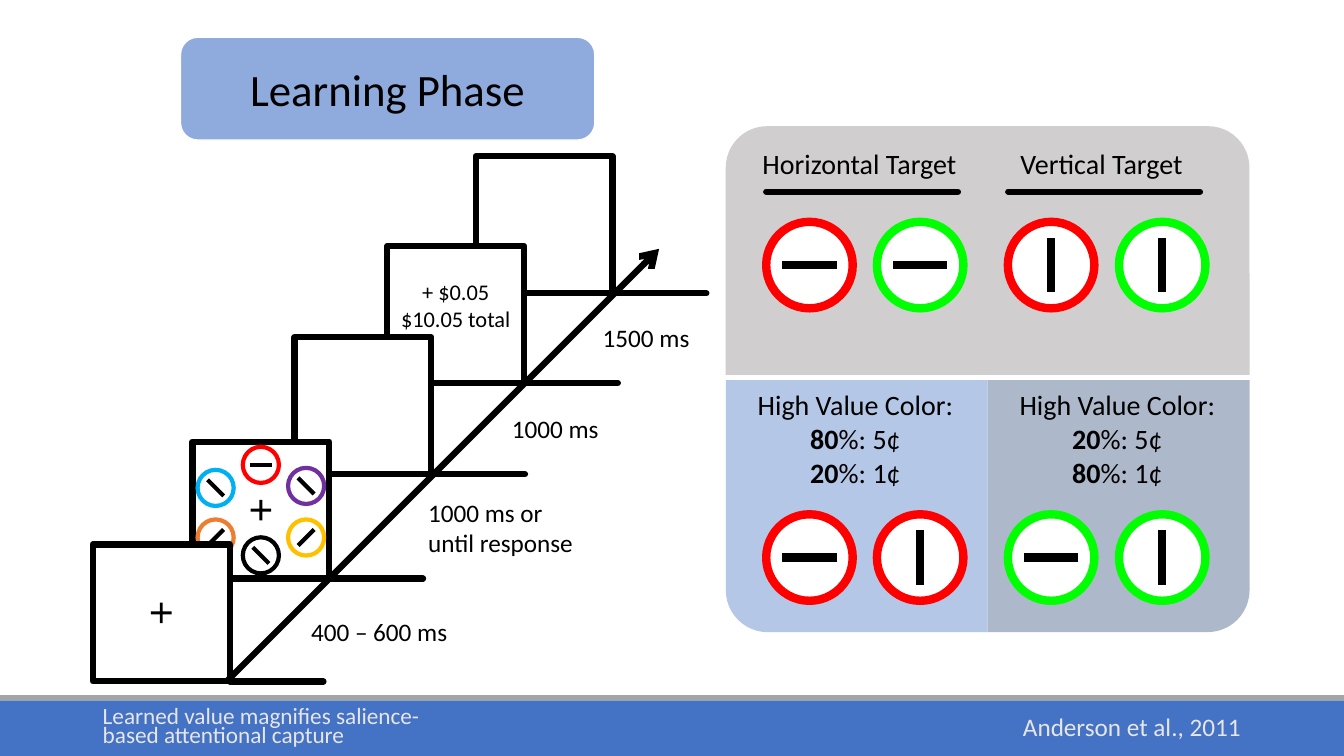
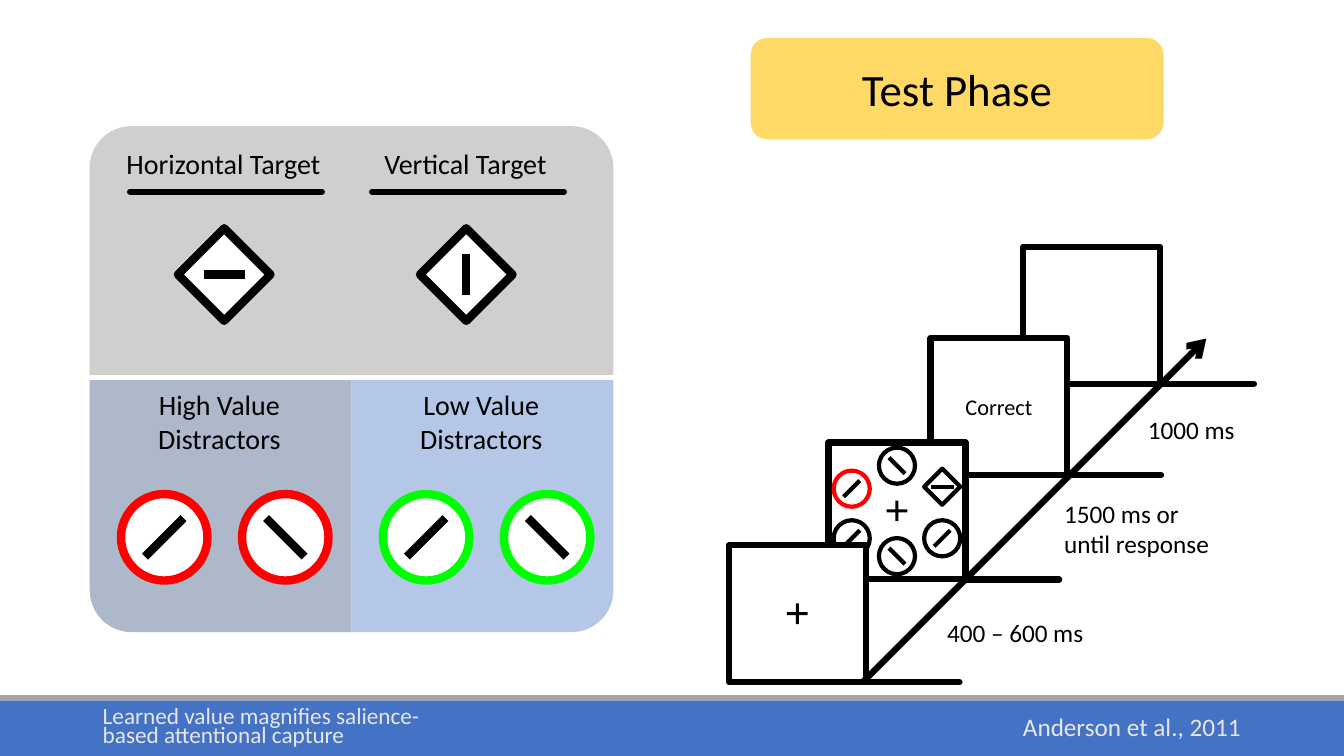
import math

import lxml.etree
import pptx
import pptx.dml.color
import pptx.enum.shapes
import pptx.enum.text
import pptx.oxml.ns
import pptx.util

Cm = pptx.util.Cm
Pt = pptx.util.Pt
RGBColor = pptx.dml.color.RGBColor
SHAPE = pptx.enum.shapes.MSO_SHAPE
ALIGN = pptx.enum.text.PP_ALIGN
ANCHOR = pptx.enum.text.MSO_ANCHOR

BLACK = RGBColor(0x00, 0x00, 0x00)
WHITE = RGBColor(0xFF, 0xFF, 0xFF)
RED = RGBColor(0xFF, 0x00, 0x00)
GREEN = RGBColor(0x00, 0xFF, 0x00)
SKY = RGBColor(0x00, 0xB0, 0xF0)
PURPLE = RGBColor(0x70, 0x30, 0xA0)
ORANGE = RGBColor(0xED, 0x7D, 0x31)
AMBER = RGBColor(0xFF, 0xC0, 0x00)
BAND_BLUE = RGBColor(0x44, 0x72, 0xC4)
BAND_GREY = RGBColor(0xA5, 0xA5, 0xA5)
FOOTER_TEXT = RGBColor(0xE7, 0xE6, 0xE6)
TITLE_BLUE = RGBColor(0x8F, 0xAA, 0xDC)
TITLE_YELLOW = RGBColor(0xFF, 0xD9, 0x66)
PANEL_GREY = RGBColor(0xD0, 0xCE, 0xCE)
PANEL_BLUE = RGBColor(0xB4, 0xC7, 0xE7)
PANEL_SLATE = RGBColor(0xAD, 0xB9, 0xCA)

FONT = "Calibri"
PAGE_WIDTH, PAGE_HEIGHT = 33.87, 19.05
HALF_WIDTH = 6.6
SCREEN = 3.45
TICK = 2.36
LARGE, SQUARE, SMALL = 2.18, 1.65, 0.91
BAR_SHARE = 0.63
FALLING, RISING = 45, -45

# Offsets of each screen from the first one
STEPS = [(0, 0), (2.51, -2.59), (5.08, -5.22), (7.42, -7.52), (9.65, -9.78)]
# Offsets of each duration from its screen's lower right corner, and its width
DURATION_SPOTS = [(1.8, -1.77, 4), (2.24, -2.17, 4.45),
                  (1.78, -1.66, 2.8), (1.73, -1.65, 3)]
# Search items, clockwise from the top, around the centre of the screen
RING = [(0, -1.14), (1.14, -0.61), (1.14, 0.69),
        (0, 1.14), (-1.14, 0.69), (-1.14, -0.56)]


def write(shape, lines, size, color=BLACK, align=ALIGN.CENTER,
          anchor=ANCHOR.TOP, spacing=None):
    """Write lines into a shape; a (bold, plain) pair makes a mixed line."""
    frame = shape.text_frame
    frame.word_wrap = True
    frame.vertical_anchor = anchor
    for index, line in enumerate(lines):
        para = frame.paragraphs[0] if index == 0 else frame.add_paragraph()
        para.alignment = align
        para.line_spacing = spacing
        para.font.name = FONT
        para.font.size = Pt(size)
        para.font.color.rgb = color
        if isinstance(line, str):
            para.add_run().text = line
        else:
            for text, bold in zip(line, (True, False)):
                span = para.add_run()
                span.text = text
                span.font.bold = bold


def add_text(page, x, y, width, height, lines, size, **style):
    """Add a text box."""
    box = page.shapes.add_textbox(Cm(x), Cm(y), Cm(width), Cm(height))
    write(box, lines, size, **style)


def add_block(page, kind, x, y, width, height, fill, line=None, weight=1,
              turn=0):
    """Add a filled preset shape, with an outline if a line colour is given."""
    block = page.shapes.add_shape(kind, Cm(x), Cm(y), Cm(width), Cm(height))
    block.shadow.inherit = False
    block.rotation = turn
    block.fill.solid()
    block.fill.fore_color.rgb = fill
    if line is None:
        block.line.fill.background()
    else:
        block.line.color.rgb = line
        block.line.width = Pt(weight)
    return block


def add_line(page, x1, y1, x2, y2, weight=4.5, rounded=False, arrow=False):
    """Add a black line, with round ends or an arrowhead if asked."""
    line = page.shapes.add_connector(
        pptx.enum.shapes.MSO_CONNECTOR.STRAIGHT,
        Cm(x1), Cm(y1), Cm(x2), Cm(y2))
    line.line.color.rgb = BLACK
    line.line.width = Pt(weight)
    properties = line.element.spPr
    outline = properties.find(pptx.oxml.ns.qn("a:ln"))
    if rounded:
        outline.set("cap", "rnd")
    if arrow:
        lxml.etree.SubElement(outline, pptx.oxml.ns.qn("a:tailEnd"),
                              type="arrow")
    lxml.etree.SubElement(properties, pptx.oxml.ns.qn("a:effectLst"))


def add_item(page, x, y, color, angle, size=LARGE, kind=SHAPE.OVAL):
    """Add an outlined item centred on a point, with a bar at an angle."""
    weight = 3 if size == SMALL else 6
    turn = 45 if kind == SHAPE.RECTANGLE else 0
    add_block(page, kind, x - size / 2, y - size / 2, size, size, WHITE,
              color, weight, turn)
    reach = size * BAR_SHARE / 2
    dx = reach * math.cos(math.radians(angle))
    dy = reach * math.sin(math.radians(angle))
    add_line(page, x - dx, y - dy, x + dx, y + dy, weight)


def add_cross(page, x, y):
    """Add a fixation cross centred on a point."""
    size = 0.71
    cross = add_block(page, SHAPE.MATH_PLUS, x - size / 2, y - size / 2,
                      size, size, BLACK)
    cross.adjustments[0] = 0.103


def add_footer(page):
    """Add the bands and the citation at the foot of the page."""
    top, height = 17.65, 1.4
    add_block(page, SHAPE.RECTANGLE, 0, top, PAGE_WIDTH, height, BAND_BLUE)
    add_block(page, SHAPE.RECTANGLE, 0, top - 0.13, PAGE_WIDTH, 0.13,
              BAND_GREY)
    style = {"color": FOOTER_TEXT, "anchor": ANCHOR.MIDDLE}
    add_text(page, 22.43, top, 9.09, height, ["Anderson et al., 2011"], 18,
             align=ALIGN.RIGHT, spacing=0.9, **style)
    add_text(page, 2.34, top, 9.09, height,
             ["Learned value magnifies salience-based attentional capture"],
             16.6, align=ALIGN.LEFT, spacing=0.7, **style)


def add_title(page, x, text, fill):
    """Add the rounded title plate."""
    plate = add_block(page, SHAPE.ROUNDED_RECTANGLE, x, 0.94, 10.44, 2.59,
                      fill, WHITE)
    write(plate, [text], 32, anchor=ANCHOR.MIDDLE)


def add_panel(page, left, fills, captions):
    """Add the target panel with its two captioned lower halves."""
    top, lower, height = 3.18, 9.58, 6.35
    add_block(page, SHAPE.ROUND_2_SAME_RECTANGLE, left, top, 2 * HALF_WIDTH,
              6.27, PANEL_GREY)
    add_block(page, SHAPE.ROUND_1_RECTANGLE, left, lower, HALF_WIDTH, height,
              fills[0], turn=180)
    # A quarter turn swaps the sides, so the shape is set about its centre
    shift = (HALF_WIDTH - height) / 2
    add_block(page, SHAPE.ROUND_1_RECTANGLE, left + HALF_WIDTH + shift,
              lower - shift, height, HALF_WIDTH, fills[1], turn=90)
    headings = ("Horizontal Target", "Vertical Target")
    for column, heading in enumerate(headings):
        start = left + 1.02 + 6.1 * column
        add_text(page, start - 0.4, 3.56, 5.5, 1.12, [heading], 20)
        add_line(page, start, 4.83, start + 4.83, 4.83, rounded=True)
        add_text(page, left + 0.02 + HALF_WIDTH * column, 9.65, 6.5, 2.8,
                 captions[column], 20)


def add_timeline(page, left, top, count, durations, ring, message):
    """Add the staircase of screens with its arrow and durations."""
    spots = [(left + dx, top + dy) for dx, dy in STEPS[:count]]
    message_step, message_top, message_lines = message
    for step, (x, y) in reversed(list(enumerate(spots))):
        screen = add_block(page, SHAPE.RECTANGLE, x, y, SCREEN, SCREEN, WHITE,
                           BLACK, 4.5)
        middle_x, middle_y = x + SCREEN / 2, y + SCREEN / 2
        if step == message_step:
            write(screen, message_lines, 16)
            screen.text_frame.margin_top = Cm(message_top)
        if step == 1:
            for (dx, dy), (color, angle, kind) in zip(RING, ring):
                add_item(page, middle_x + dx, middle_y + dy, color, angle,
                         SMALL, kind)
        if step < 2:
            add_cross(page, middle_x, middle_y)

    corners = [(x + SCREEN, y + SCREEN) for x, y in spots]
    for x, y in corners:
        add_line(page, x, y, x + TICK, y, rounded=True)
    x, y = corners[0]
    run = 10.9 if count == len(STEPS) else 8.66
    add_line(page, x - 0.08, y, x - 0.08 + run, y - run, arrow=True)
    for (x, y), (dx, dy, width), text in zip(corners, DURATION_SPOTS,
                                             durations):
        add_text(page, x + dx, y + dy, width, 1.02, [text], 18,
                 align=ALIGN.LEFT)


def add_learning_page(page):
    """Build the learning phase."""
    left = 18.29
    add_footer(page)
    add_title(page, 4.55, "Learning Phase", TITLE_BLUE)
    add_timeline(
        page, 2.34, 13.72, 5,
        ["400 – 600 ms", "1000 ms or until response", "1000 ms", "1500 ms"],
        [(RED, 0, SHAPE.OVAL), (PURPLE, FALLING, SHAPE.OVAL),
         (AMBER, RISING, SHAPE.OVAL), (BLACK, FALLING, SHAPE.OVAL),
         (ORANGE, RISING, SHAPE.OVAL), (SKY, FALLING, SHAPE.OVAL)],
        (3, 0.81, ["+ $0.05", "$10.05 total"]))
    odds = [("80", "20"), ("20", "80")]
    add_panel(page, left, (PANEL_BLUE, PANEL_SLATE),
              [["High Value Color:", (five, "%: 5¢"), (one, "%: 1¢")]
               for five, one in odds])
    columns = [2.11, 4.9, 8.2, 11]
    angles = [0, 0, 90, 90]
    for x, color, angle in zip(columns, [RED, GREEN, RED, GREEN], angles):
        add_item(page, left + x, 6.68, color, angle)
    for x, color, angle in zip(columns, [RED, RED, GREEN, GREEN],
                               [0, 90, 0, 90]):
        add_item(page, left + x, 14.05, color, angle)


def add_test_page(page):
    """Build the test phase."""
    left = 2.26
    add_footer(page)
    add_title(page, 18.9, "Test Phase", TITLE_YELLOW)
    add_timeline(
        page, 18.37, 13.74, 4,
        ["400 – 600 ms", "1500 ms or until response", "1000 ms"],
        [(BLACK, FALLING, SHAPE.OVAL), (BLACK, 0, SHAPE.DIAMOND),
         (BLACK, RISING, SHAPE.OVAL), (BLACK, FALLING, SHAPE.OVAL),
         (BLACK, RISING, SHAPE.OVAL), (RED, RISING, SHAPE.OVAL)],
        (2, 1.38, ["Correct"]))
    add_panel(page, left, (PANEL_SLATE, PANEL_BLUE),
              [["High Value Distractors"], ["Low Value Distractors"]])
    for x, angle in ((3.39, 0), (9.49, 90)):
        add_item(page, left + x, 6.92, BLACK, angle, SQUARE, SHAPE.RECTANGLE)
    for column, color in enumerate((RED, GREEN)):
        x = left + 1.88 + HALF_WIDTH * column
        add_item(page, x, 13.54, color, RISING)
        add_item(page, x + 3.05, 13.54, color, FALLING)


def main():
    """Build and save the deck."""
    deck = pptx.Presentation()
    deck.slide_width = Cm(PAGE_WIDTH)
    deck.slide_height = Cm(PAGE_HEIGHT)
    blank = deck.slide_layouts[6]
    for build in (add_learning_page, add_test_page):
        build(deck.slides.add_slide(blank))
    deck.save("out.pptx")


main()
